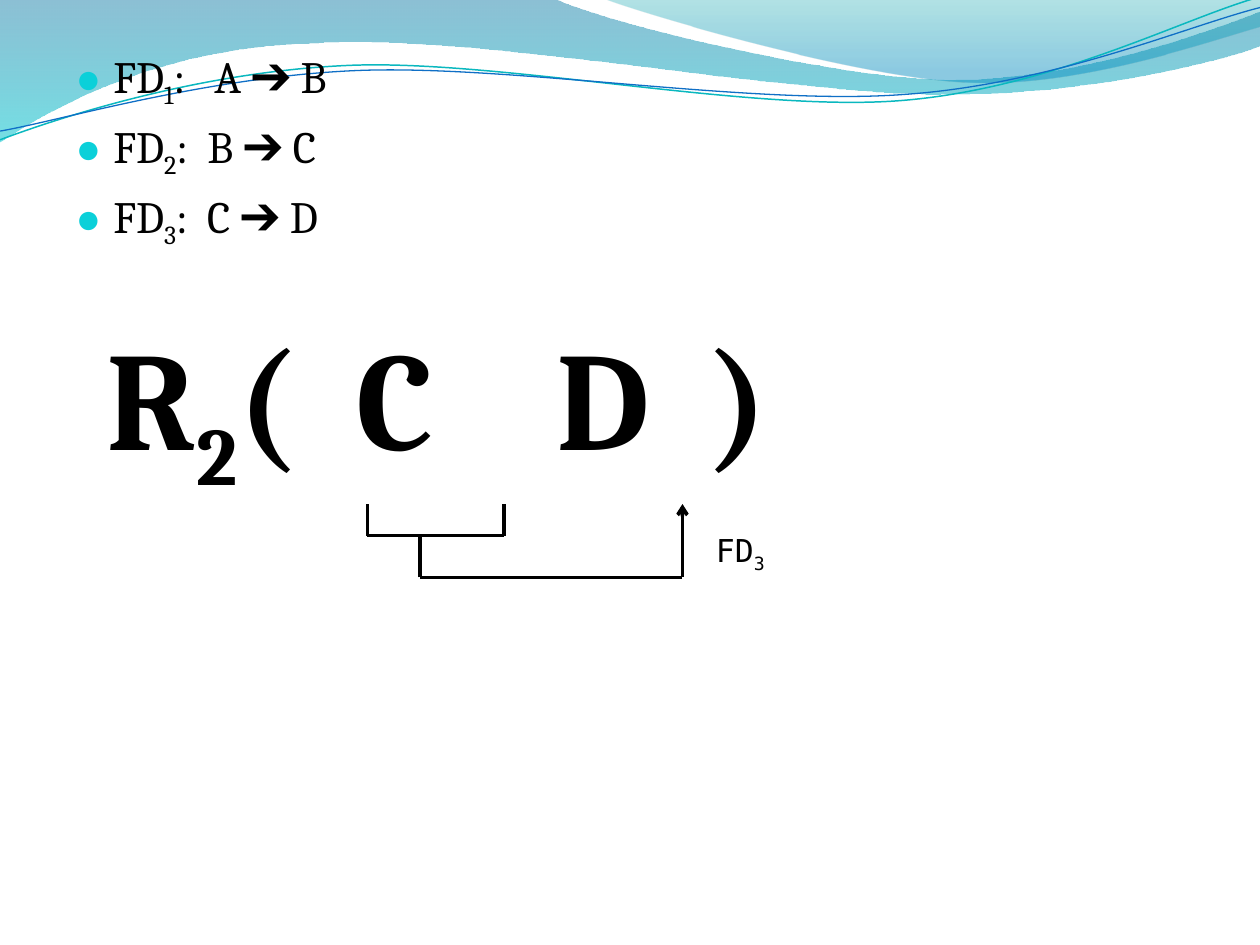
from lxml import etree
from pptx import Presentation
from pptx.dml.color import RGBColor
from pptx.enum.shapes import MSO_CONNECTOR
from pptx.enum.text import MSO_AUTO_SIZE
from pptx.oxml.ns import qn
from pptx.util import Pt

STRAIGHT = MSO_CONNECTOR.STRAIGHT
NO_AUTOFIT = MSO_AUTO_SIZE.NONE
FIT_SHAPE = MSO_AUTO_SIZE.SHAPE_TO_FIT_TEXT
COLORS = {
    "text": "000000", "bullet": "0BD0D9", "teal line": "0AB8BF", "blue line": "0F6FC6",
    "deep blue": "0074A1", "cyan": "00C6CF", "teal": "00A1A9", "sky": "008BBF",
}

LONG_WAVE = [
    (0, 0), (316.8, -0.7),
    (342.7, 12.2, 478.1, 45.4, 545.8, 45.4), (614.2, 45.4, 689.8, 18.7, 720, 6.5),
    (720.7, 25.9), (707.8, 31.7, 626.4, 54.7, 537.1, 54),
    (447.8, 54, 275, 20.2, 185, 24.5), (92.9, 25.9, 33.1, 59.8, -0.7, 81.4),
]
SHORT_WAVE = [
    (344.9, -0.7), (366.5, 7.9, 491, 44.6, 553.7, 46.8),
    (616.3, 49.7, 691.9, 23, 720, 15.1), (720, 0),
]
TEAL_CURVE = [
    (0, 79.9), (34.6, 67, 113.8, 41, 199.4, 37.4),
    (284.4, 33.8, 427, 64.1, 513.4, 57.6), (599.8, 51.1, 675.4, 10.8, 718.6, -1.4),
]
BLUE_CURVE = [
    (0, 74.9), (33.8, 69.1, 118.1, 43.9, 203.8, 40.3),
    (290.2, 36.7, 429.8, 60.5, 516.2, 54), (601.9, 48.2, 677.5, 15.1, 720, 4.3),
]


def rgb(name):
    """Return the named colour."""
    return RGBColor.from_string(COLORS[name])


def add_text(paragraph, text, size, font="Cambria", bold=None):
    """Add text to a paragraph; the part between underscores is a subscript."""
    for index, part in enumerate(filter(None, text.split("_"))):
        run = paragraph.add_run()
        run.text = part
        run.font.size, run.font.name, run.font.bold = Pt(size), font, bold
        run.font.color.rgb = rgb("text")
        if index % 2:
            run._r.get_or_add_rPr().set("baseline", "-25000")


def add_text_box(slide, box, text, wrap=True, **text_format):
    """Add a text box that fits its one line of text."""
    frame = slide.shapes.add_textbox(*map(Pt, box)).text_frame
    frame.word_wrap = wrap
    frame.auto_size = FIT_SHAPE
    add_text(frame.paragraphs[0], text, **text_format)


def add_curve(shapes, left, top, segments, closed):
    """Add a freeform of line ends and cubic segments."""
    points = [(Pt(left + segment[i]), Pt(top + segment[i + 1]))
              for segment in segments for i in range(0, len(segment), 2)]
    builder = shapes.build_freeform(*points[0])
    builder.add_line_segments(points[1:], close=closed)
    shape = builder.convert_to_shape()
    shape.shadow.inherit = False
    lines = iter(list(shape._element.spPr.iter(qn("a:lnTo"))))
    for segment in segments[1:]:
        first = next(lines)
        if len(segment) == 6:
            cubic = etree.Element(qn("a:cubicBezTo"))
            first.addprevious(cubic)
            for line in (first, next(lines), next(lines)):
                cubic.append(line[0])
                line.getparent().remove(line)
    return shape


def add_waves(slide, master, left, top):
    """Draw the gradient waves and the two thin curves on the master."""
    waves = []
    for segments, stops in (
        (LONG_WAVE, ((0, "deep blue", 45), (1, "cyan", 55))),
        (SHORT_WAVE, ((0, "teal", 30), (0.8, "sky", 45))),
    ):
        wave = add_curve(slide.shapes, left, top, segments, closed=True)
        wave.line.fill.background()
        wave.fill.gradient()
        wave.fill.gradient_angle = 270
        for stop, (position, color, _) in zip(wave.fill.gradient_stops, stops):
            stop.position = position
            stop.color.rgb = rgb(color)
        color_elements = wave._element.spPr.iter(qn("a:srgbClr"))
        for element, (_, _, opacity) in zip(list(color_elements), stops):
            etree.SubElement(element, qn("a:alpha")).set("val", str(opacity * 1000))
        waves.append(wave)
    group = slide.shapes.add_group_shape()
    for segments, color, width in (
        (TEAL_CURVE, "teal line", 0.85), (BLUE_CURVE, "blue line", 0.75),
    ):
        curve = add_curve(group.shapes, left, top, segments, closed=False)
        curve.fill.background()
        curve.line.color.rgb = rgb(color)
        curve.line.width = Pt(width)
    for index, shape in enumerate(waves + [group]):
        master.shapes._spTree.insert(2 + index, shape._element)


def fill_dependency_list(body, box, items):
    """Place the body placeholder and fill it with bulleted items."""
    body.left, body.top, body.width, body.height = map(Pt, box)
    frame = body.text_frame
    frame.auto_size = NO_AUTOFIT
    for index, item in enumerate(items):
        paragraph = frame.add_paragraph() if index else frame.paragraphs[0]
        paragraph.space_before = Pt(5.1)
        properties = paragraph._p.get_or_add_pPr()
        properties.set("marL", str(Pt(21.6)))
        properties.set("indent", str(-Pt(21.6)))
        bullet_color = etree.SubElement(properties, qn("a:buClr"))
        etree.SubElement(bullet_color, qn("a:srgbClr")).set("val", COLORS["bullet"])
        etree.SubElement(properties, qn("a:buSzPct")).set("val", "95000")
        etree.SubElement(properties, qn("a:buChar")).set("char", "●")
        add_text(paragraph, item, size=25.6)


def add_line(shapes, start, end, arrow=False):
    """Add a straight black line, with an arrowhead at its end if asked."""
    connector = shapes.add_connector(STRAIGHT, *map(Pt, start + end))
    connector.line.color.rgb = rgb("text")
    connector.line.width = Pt(2)
    if arrow:
        outline = connector.line._get_or_add_ln()
        etree.SubElement(outline, qn("a:tailEnd")).set("type", "arrow")
    etree.SubElement(connector._element.spPr, qn("a:effectLst"))


def add_dependency_arrow(slide, box):
    """Draw the bracket under C and the arrow up to D, with its label."""
    left, top, width, height = box
    right, bottom = left + width, top + height
    bracket_right, bracket_bottom, stem = left + 78, top + 18, left + 30
    shapes = slide.shapes.add_group_shape().shapes
    add_line(shapes, (left, bracket_bottom), (bracket_right, bracket_bottom))
    for x in (left, bracket_right):
        add_line(shapes, (x, bracket_bottom), (x, top))
    add_line(shapes, (stem, bottom), (stem, bracket_bottom))
    add_line(shapes, (stem, bottom), (right, bottom))
    add_line(shapes, (right, bottom), (right, top), arrow=True)
    add_text_box(slide, (right + 12, top + 12, 66, 29), "FD_3_",
                 size=18, font="DejaVu Sans Mono")


def main():
    """Build the slide and save it."""
    presentation = Presentation()
    presentation.slide_width, presentation.slide_height = Pt(720), Pt(540)
    slide = presentation.slides.add_slide(presentation.slide_layouts[1])
    title = slide.shapes.title._element
    title.getparent().remove(title)
    add_waves(slide, presentation.slide_master, 0, 0)
    fill_dependency_list(slide.placeholders[1], (36, 24, 648, 150),
                         ["FD_1_:   A ➔ B", "FD_2_:  B ➔ C", "FD_3_:  C ➔ D"])
    add_dependency_arrow(slide, (210, 288, 180, 42))
    add_text_box(slide, (54, 174, 453, 104), "R_2_(  C    D  )",
                 wrap=False, size=80, bold=True)
    presentation.save("out.pptx")


if __name__ == "__main__":
    main()
